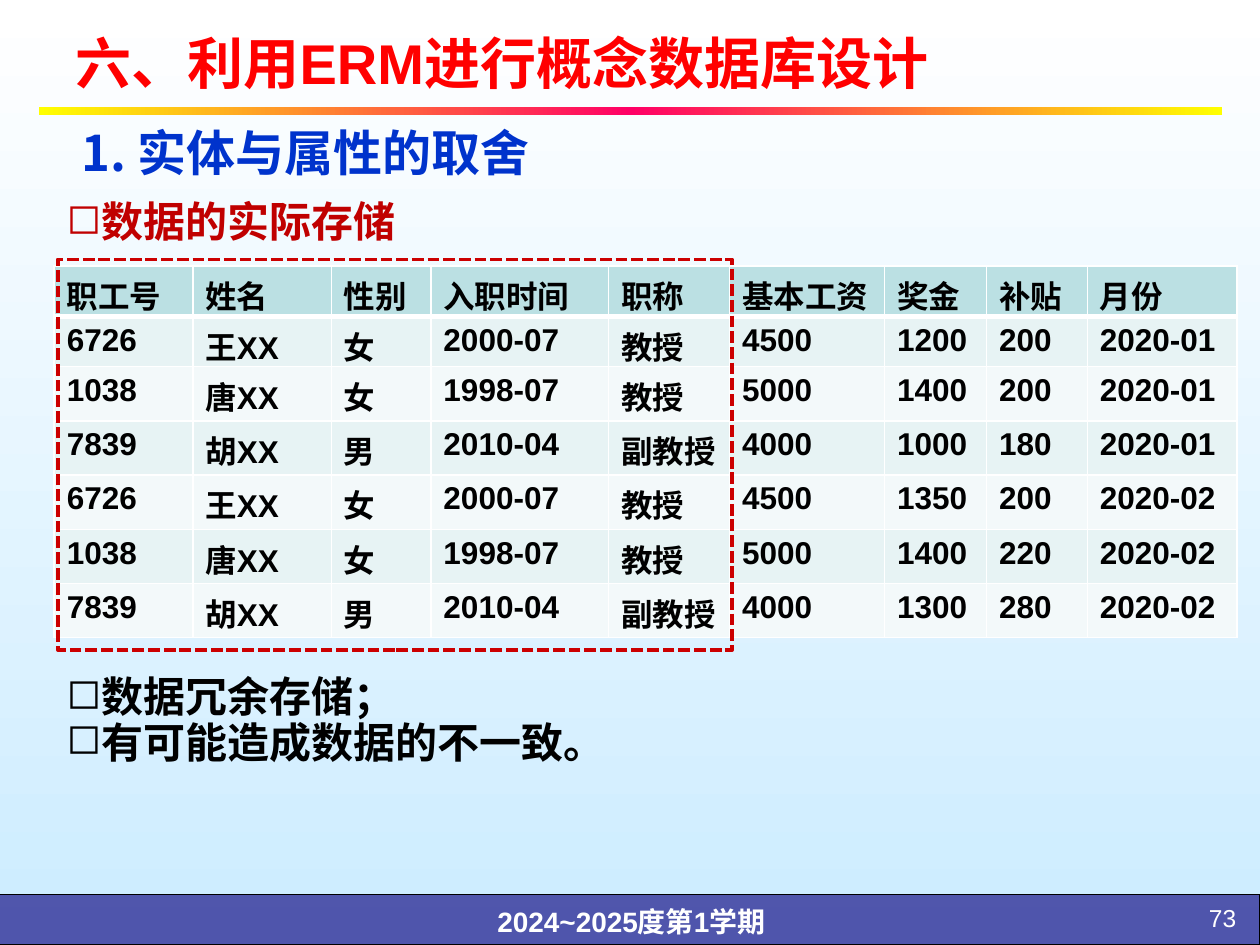
from copy import deepcopy

from pptx import Presentation
from pptx.dml.color import RGBColor
from pptx.enum.dml import MSO_LINE_DASH_STYLE as Dash
from pptx.enum.shapes import MSO_SHAPE as Shape
from pptx.enum.text import MSO_ANCHOR as Anchor, PP_ALIGN as Align
from pptx.oxml.ns import qn
from pptx.util import Inches, Pt
from lxml.etree import SubElement

HEADER = ["职工号", "姓名", "性别", "入职时间", "职称", "基本工资", "奖金", "补贴", "月份"]
STAFF = {
    "6726": ["王XX", "女", "2000-07", "教授", "4500"],
    "1038": ["唐XX", "女", "1998-07", "教授", "5000"],
    "7839": ["胡XX", "男", "2010-04", "副教授", "4000"],
}
PAYMENTS = [
    ("6726", "1200", "200", "2020-01"),
    ("1038", "1400", "200", "2020-01"),
    ("7839", "1000", "180", "2020-01"),
    ("6726", "1350", "200", "2020-02"),
    ("1038", "1400", "220", "2020-02"),
    ("7839", "1300", "280", "2020-02"),
]
COLUMN_WIDTHS = [1.1, 1.1, 0.79, 1.41, 0.96, 1.23, 0.81, 0.8, 1.19]
ROW_HEIGHTS = [0.4, 0.4] + [0.43] * 5


def color(value):
    return RGBColor.from_string(value)


def write(frame, lines, size=18, fill="000000", bold=True, font="Arial",
          align=Align.LEFT, spacing=None, bullet=None):
    """Put one paragraph per line into a text frame."""
    for index, line in enumerate(lines):
        paragraph = frame.paragraphs[0] if index == 0 else frame.add_paragraph()
        paragraph.alignment = align
        if spacing:
            paragraph.line_spacing = spacing
        if bullet:
            properties = paragraph._p.get_or_add_pPr()
            properties.set("marL", "0")
            properties.set("indent", "0")
            SubElement(properties, qn("a:buChar"), char=bullet)
        run = paragraph.add_run()
        run.text = line
        run.font.size = Pt(size)
        run.font.bold = bold
        run.font.name = font
        run.font.color.rgb = color(fill)
        SubElement(run._r.get_or_add_rPr(), qn("a:ea"), typeface="Noto Sans CJK SC")


def set_gradient(fill, element, colors, angle):
    """Fill with evenly spaced colour stops."""
    fill.gradient()
    fill.gradient_angle = angle
    stop_list = next(element.iter(qn("a:gsLst")))
    for _ in colors[2:]:
        stop_list.append(deepcopy(stop_list[0]))
    for index, (stop, value) in enumerate(zip(fill.gradient_stops, colors)):
        stop.color.rgb = color(value)
        stop.position = index / (len(colors) - 1)


def set_border(cell, side, width):
    line = SubElement(cell._tc.get_or_add_tcPr(), qn(f"a:ln{side}"), w=str(Pt(width)))
    solid = SubElement(line, qn("a:solidFill"))
    SubElement(solid, qn("a:srgbClr"), val="FFFFFF")


class SlideBuilder:
    def __init__(self, slide):
        self.slide = slide

    def background(self, colors):
        set_gradient(self.slide.background.fill, self.slide.element, colors, 270)

    def text(self, left, top, width, height, *lines, anchor=Anchor.TOP, wrap=True, **style):
        box = self.slide.shapes.add_textbox(*map(Inches, (left, top, width, height)))
        frame = box.text_frame
        frame.word_wrap = wrap
        frame.vertical_anchor = anchor
        write(frame, lines, **style)

    def rectangle(self, left, top, width, height, fill=None, opacity=None, gradient=None,
                  line=None, line_width=0.75, dash=None):
        shape = self.slide.shapes.add_shape(
            Shape.RECTANGLE, *map(Inches, (left, top, width, height)))
        shape.shadow.inherit = False
        if gradient:
            set_gradient(shape.fill, shape.element, gradient, 0)
        elif fill:
            shape.fill.solid()
            shape.fill.fore_color.rgb = color(fill)
            if opacity:
                fill_color = next(shape.element.spPr.iter(qn("a:srgbClr")))
                SubElement(fill_color, qn("a:alpha"), val=str(opacity * 1000))
        else:
            shape.fill.background()
        if line:
            shape.line.color.rgb = color(line)
            shape.line.width = Pt(line_width)
            if dash:
                shape.line.dash_style = dash
        else:
            shape.line.fill.background()

    def table(self, left, top, rows, widths, heights):
        frame = self.slide.shapes.add_table(
            len(rows), len(widths), Inches(left), Inches(top),
            Inches(sum(widths)), Inches(sum(heights)))
        table = frame.table
        for column, width in zip(table.columns, widths):
            column.width = Inches(width)
        for row, height in zip(table.rows, heights):
            row.height = Inches(height)
        for row_index, values in enumerate(rows):
            band = "BBE0E3" if row_index == 0 else ("F3F9FA", "E7F3F4")[row_index % 2]
            for column_index, value in enumerate(values):
                cell = table.cell(row_index, column_index)
                for side in "LRTB":
                    below_header = (row_index, side) in ((0, "B"), (1, "T"))
                    set_border(cell, side, 3 if below_header else 1)
                cell.fill.solid()
                cell.fill.fore_color.rgb = color(band)
                write(cell.text_frame, [value])


def main():
    presentation = Presentation()
    presentation.slide_width = Inches(10)
    presentation.slide_height = Inches(7.5)
    builder = SlideBuilder(presentation.slides.add_slide(presentation.slide_layouts[6]))

    builder.background(["FFFFFF", "CCECFF"])
    builder.rectangle(-0.01, 7.1, 10.01, 0.4, fill="333399", opacity=81, line="000000")
    builder.text(2.69, 7.08, 4.64, 0.42, "2024~2025度第1学期", size=16, fill="FFFFFF",
                 align=Align.CENTER, spacing=1.2)
    builder.rectangle(0.31, 0.85, 9.39, 0.06, gradient=["FFFF00", "FF0066", "FFFF00"])
    builder.text(8.94, 7.12, 0.97, 0.3, "73", size=14, fill="FFFFFF", bold=False,
                 align=Align.RIGHT)

    rows = [HEADER] + [[number, *STAFF[number], *pay] for number, *pay in PAYMENTS]
    builder.table(0.43, 2.11, rows, COLUMN_WIDTHS, ROW_HEIGHTS)
    builder.text(0.43, 1.55, 8.73, 0.5, "数据的实际存储", size=24, fill="C00000",
                 spacing=0.9, bullet="◻")
    builder.rectangle(0.46, 2.06, 5.35, 3.1, line="CC0000", line_width=2.25,
                      dash=Dash.SQUARE_DOT)
    builder.text(0.43, 5.32, 9.3, 0.91, "数据冗余存储；", "有可能造成数据的不一致。",
                 size=24, spacing=0.9, bullet="◻")
    builder.text(0.55, 0.98, 3.92, 0.57, "1. 实体与属性的取舍", size=28, fill="0033CC",
                 font="Noto Sans CJK SC", spacing=0.9, wrap=False)
    builder.text(0.5, 0.11, 9, 0.76, "六、利用ERM进行概念数据库设计", size=32,
                 fill="FF0000", anchor=Anchor.MIDDLE)

    presentation.save("out.pptx")


if __name__ == "__main__":
    main()
